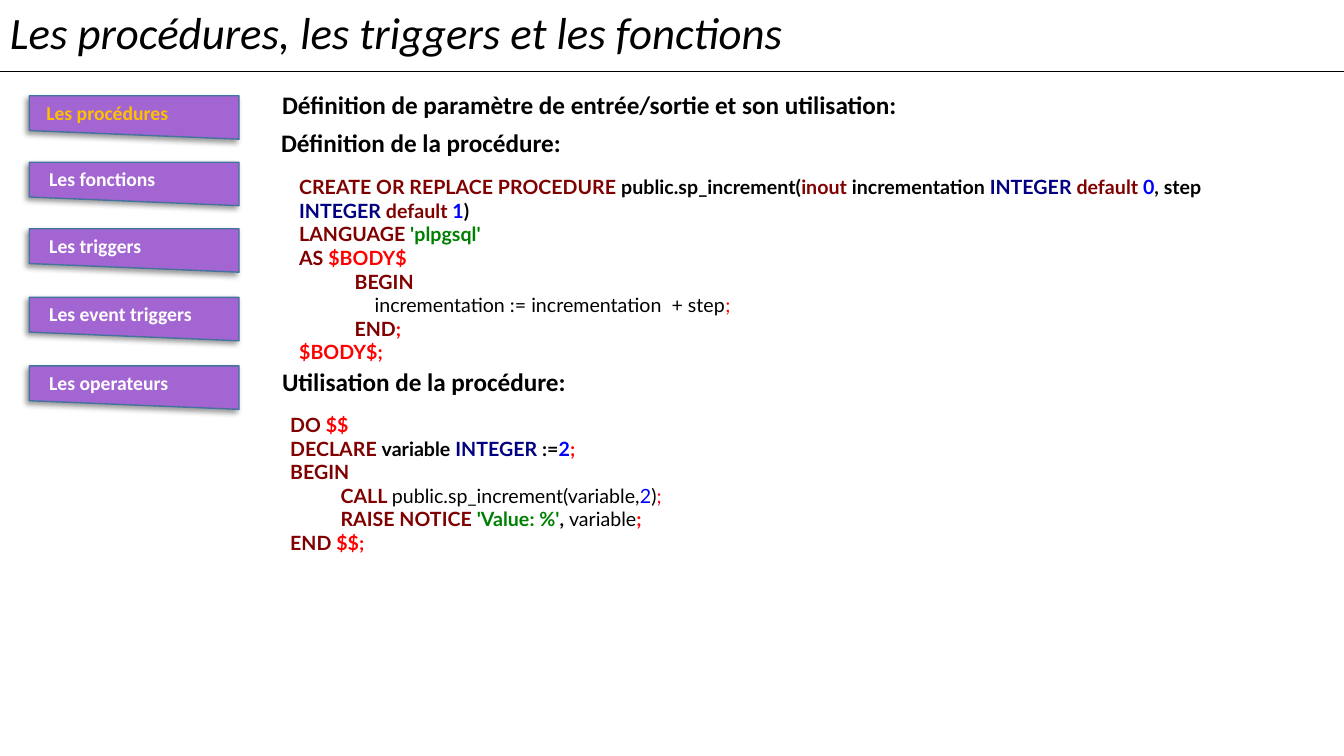
from lxml.etree import SubElement
from pptx import Presentation
from pptx.dml.color import RGBColor
from pptx.enum.shapes import MSO_CONNECTOR, MSO_SHAPE
from pptx.enum.text import MSO_AUTO_SIZE
from pptx.oxml import parse_xml
from pptx.oxml.ns import qn
from pptx.util import Pt

BLACK, WHITE, GOLD, PURPLE, STEEL = "000000", "FFFFFF", "FFC000", "A365D1", "43739E"
DRAWING = "http://schemas.openxmlformats.org/drawingml/2006/main"
SHADOW = (f'<a:effectLst xmlns:a="{DRAWING}"><a:outerShdw blurRad="50800" dist="38100" '
          'dir="8100000" algn="tr" rotWithShape="0"><a:srgbClr val="000000">'
          '<a:alpha val="40000"/></a:srgbClr></a:outerShdw></a:effectLst>')

STYLES = {
    "keyword": ("800000", True),
    "name": (BLACK, True),
    "type": ("000080", True),
    "number": ("0000FF", True),
    "string": ("008000", True),
    "mark": ("FF0000", True),
    "plain": (BLACK, False),
    "plain number": ("0000FF", False),
    "plain mark": ("FF0000", False),
}

TITLE = "Les procédures, les triggers et les fonctions"
HEADINGS = [
    ("Définition de paramètre de entrée/sortie et son utilisation:", 194.4, 60.5, 728.6, True),
    ("Définition de la procédure:", 193.7, 87.1, 216, False),
    ("Utilisation de la procédure:", 194.4, 257.8, 218.9, False),
]
MENU = [
    ("Les procédures", 26, 68.4, 102.2, GOLD),
    ("Les fonctions", 28.1, 115.9, 90.7, WHITE),
    ("Les triggers", 28.1, 163.4, 80.6, WHITE),
    ("Les event triggers", 28.1, 212.4, 116.6, WHITE),
    ("Les operateurs", 28.1, 261.4, 103, WHITE),
]
DEFINITION = [
    (0, [("CREATE OR REPLACE PROCEDURE ", "keyword"), ("public.sp_increment(", "name"),
         ("inout ", "keyword"), ("incrementation ", "name"), ("INTEGER ", "type"),
         ("default ", "keyword"), ("0", "number"), (", step ", "name"),
         ("INTEGER ", "type"), ("default ", "keyword"), ("1", "number"), (")", "name")]),
    (0, [("LANGUAGE ", "keyword"), ("'plpgsql'", "string")]),
    (0, [("AS ", "keyword"), ("$BODY$", "mark")]),
    (1, [(" ", "plain"), ("BEGIN", "keyword")]),
    (1, [("     incrementation := incrementation  + step", "plain"), (";", "plain mark")]),
    (1, [(" ", "plain"), ("END", "keyword"), (";", "mark")]),
    (0, [("$BODY$;", "mark")]),
]
USAGE = [
    (0, [("DO ", "keyword"), ("$$", "mark")]),
    (0, [("DECLARE ", "keyword"), ("variable ", "name"), ("INTEGER", "type"),
         (" :=", "name"), ("2", "number"), (";", "mark")]),
    (0, [("BEGIN", "keyword")]),
    (0, [("\tCALL ", "keyword"), ("public.sp_increment(variable,", "plain"),
         ("2", "plain number"), (")", "plain"), (";", "plain mark")]),
    (0, [("\tRAISE NOTICE ", "keyword"), ("'Value: %'", "string"), (", ", "name"),
         ("variable", "plain"), (";", "mark")]),
    (0, [("END ", "keyword"), ("$$;", "mark")]),
]
CODE_BLOCKS = [
    (DEFINITION, 206.6, 121.7, 707, 143.3),
    (USAGE, 200.2, 291.6, 480.2, 108.7),
]


def colour(value):
    return RGBColor.from_string(value)


def add_box(page, left, top, width, height, wrap):
    box = page.shapes.add_textbox(Pt(left), Pt(top), Pt(width), Pt(height))
    box.text_frame.word_wrap = wrap
    box.text_frame.auto_size = MSO_AUTO_SIZE.SHAPE_TO_FIT_TEXT
    return box.text_frame


def add_span(para, text, shade, **formats):
    span = para.add_run()
    span.text = text
    span.font.color.rgb = colour(shade)
    for name, value in formats.items():
        setattr(span.font, name, value)


def add_label(page, text, place, wrap, shade, **formats):
    frame = add_box(page, *place, wrap)
    add_span(frame.paragraphs[0], text, shade, name="Calibri", **formats)


def add_code(page, lines, *place):
    frame = add_box(page, *place, True)
    for index, (level, spans) in enumerate(lines):
        para = frame.add_paragraph() if index else frame.paragraphs[0]
        if level:
            para.level = level
            properties = para._p.get_or_add_pPr()
            properties.set("marL", str(Pt(36 * level)))
            properties.set("indent", "0")
        for text, style in spans:
            shade, bold = STYLES[style]
            add_span(para, text, shade, name="Lato", size=Pt(14), bold=bold)


def add_button(page, top):
    button = page.shapes.add_shape(
        MSO_SHAPE.FLOWCHART_MANUAL_INPUT, Pt(20.9), Pt(top), Pt(149.8), Pt(31))
    button.rotation = 180
    button._element.spPr.find(qn("a:xfrm")).set("flipH", "1")
    button.fill.solid()
    button.fill.fore_color.rgb = colour(PURPLE)
    button.line.color.rgb = colour(STEEL)
    button.line.width = Pt(1)
    button._element.spPr.append(parse_xml(SHADOW))


def main():
    deck = Presentation()
    deck.slide_width, deck.slide_height = Pt(960), Pt(540)
    page = deck.slides.add_slide(deck.slide_layouts[6])

    add_label(page, TITLE, (0, 0, 587.5, 46), False, BLACK, size=Pt(32), italic=True)
    rule = page.shapes.add_connector(
        MSO_CONNECTOR.STRAIGHT, Pt(0), Pt(51.1), deck.slide_width, Pt(51.1))
    rule.line.color.rgb = colour(BLACK)
    rule.line.width = Pt(1)
    SubElement(rule._element.spPr, qn("a:effectLst"))

    for text, left, top, width, wrap in HEADINGS:
        add_label(page, text, (left, top, width, 29), wrap, BLACK, size=Pt(18), bold=True)
    for block in CODE_BLOCKS:
        add_code(page, *block)
    for text, left, top, width, shade in MENU:
        add_button(page, top)
        add_label(page, text, (left, top, width, 24.2), False, shade, size=Pt(14), bold=True)

    deck.save("out.pptx")


if __name__ == "__main__":
    main()
